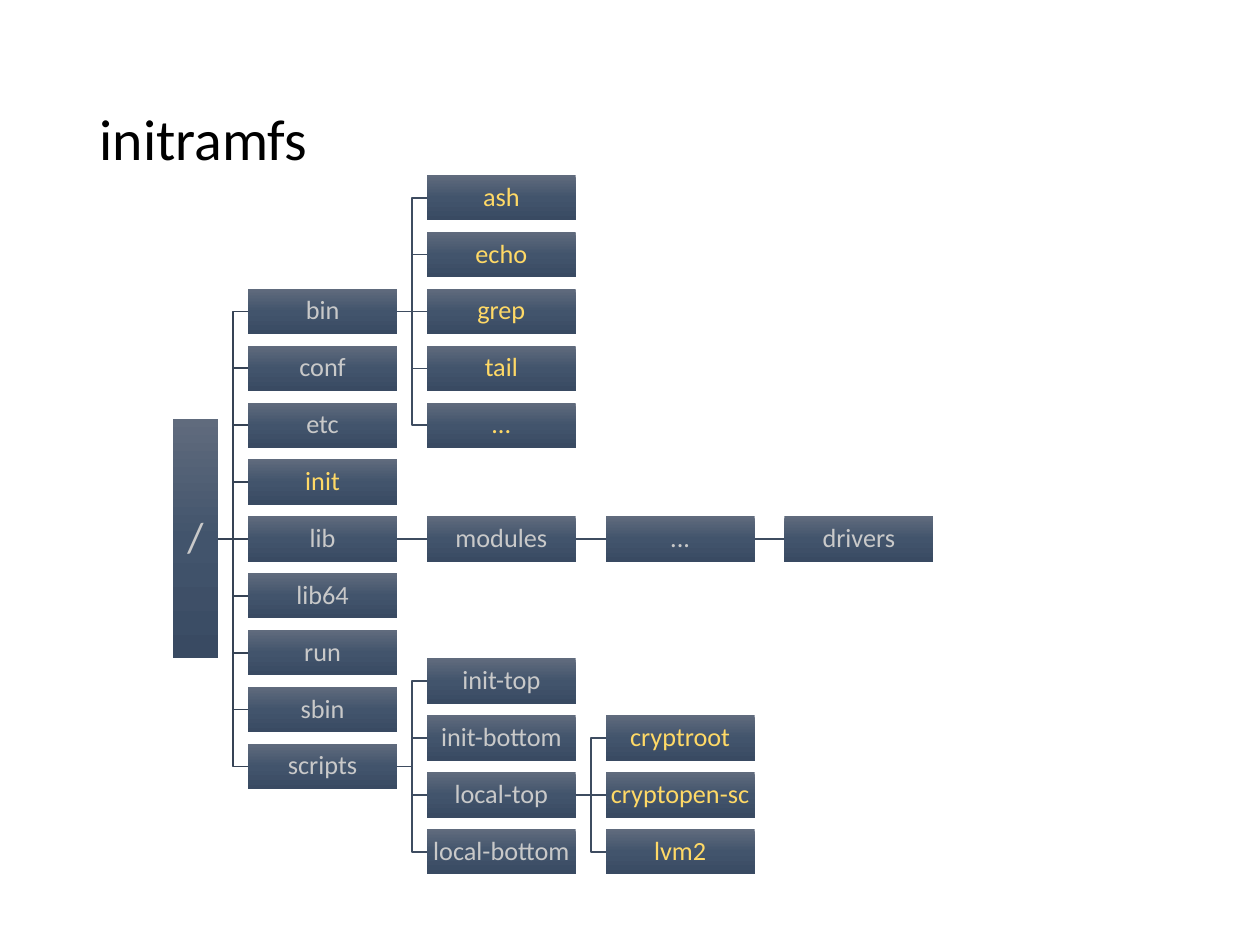
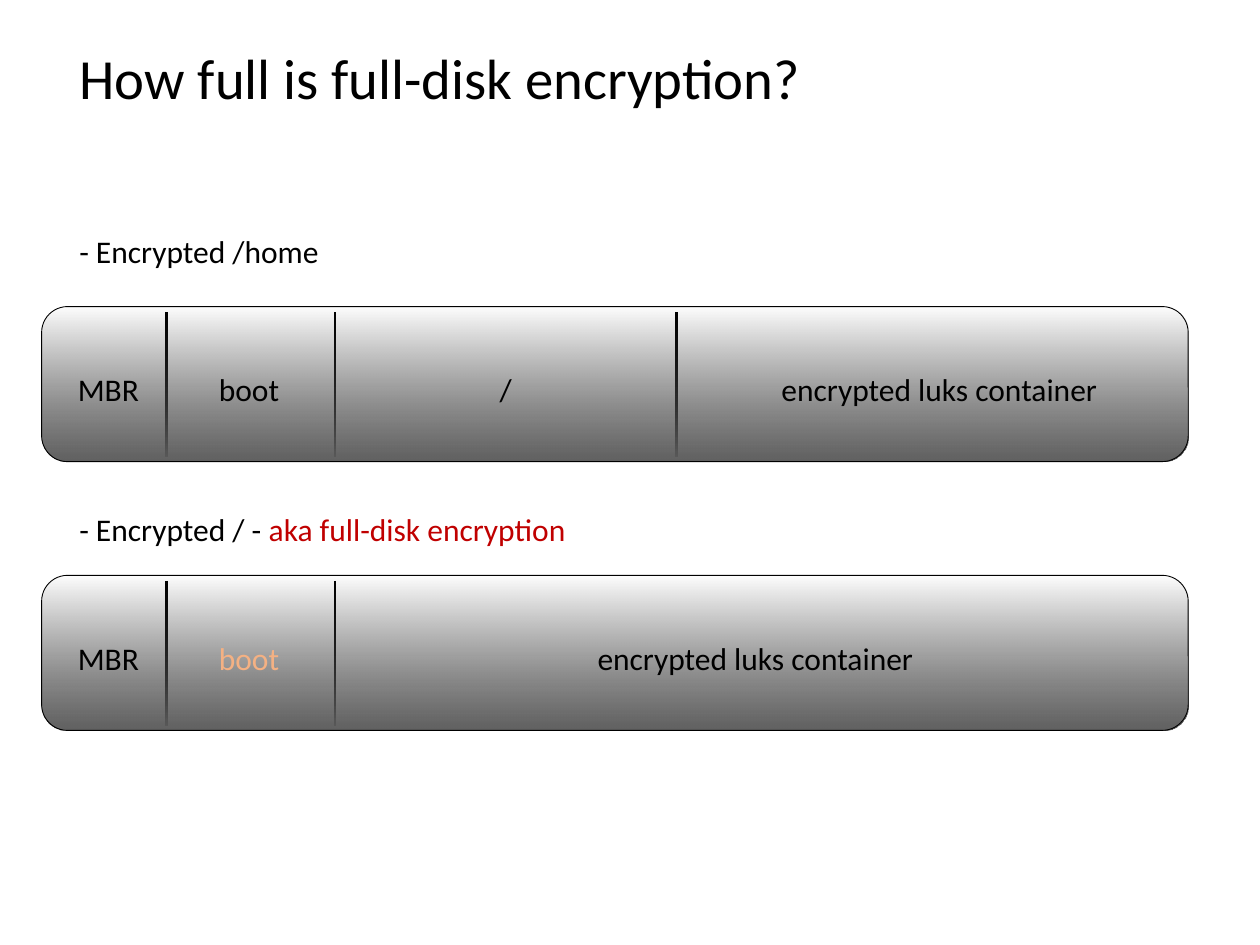
"""Builds two slides: the initramfs file tree and two disk encryption layouts."""
from dataclasses import dataclass

from lxml.etree import SubElement
from pptx import Presentation
from pptx.dml.color import RGBColor
from pptx.enum.shapes import MSO_CONNECTOR, MSO_SHAPE
from pptx.enum.text import MSO_ANCHOR, MSO_AUTO_SIZE, PP_ALIGN
from pptx.oxml.ns import qn
from pptx.shapes.autoshape import Shape
from pptx.shapes.connector import Connector
from pptx.slide import Slide
from pptx.text.text import _Paragraph as Paragraph
from pptx.util import Pt

FONT = "Calibri"
BLACK = RGBColor(0x00, 0x00, 0x00)
RED = RGBColor(0xC0, 0x00, 0x00)
ORANGE = RGBColor(0xF4, 0xB1, 0x83)
SILVER = RGBColor(0xC9, 0xC9, 0xC9)
YELLOW = RGBColor(0xFF, 0xD9, 0x66)
ROOT_LINE = RGBColor(0x36, 0x43, 0x55)
BRANCH_LINE = RGBColor(0x3E, 0x4C, 0x60)


@dataclass(frozen=True)
class GradientStop:
    """A colour at a percentage of a gradient, with its opacity in percent."""
    position: int
    color: RGBColor
    opacity: int = 100


@dataclass(frozen=True)
class Node:
    """A file or directory of the tree."""
    name: str
    color: RGBColor = SILVER
    children: tuple["Node", ...] = ()


@dataclass(frozen=True)
class Partition:
    """A label on the disk bar."""
    name: str
    left: float
    width: float
    color: RGBColor = BLACK
    align: PP_ALIGN = PP_ALIGN.CENTER


@dataclass(frozen=True)
class Disk:
    """A disk bar with its dividing lines and labels."""
    top: float
    dividers: tuple[float, ...]
    partitions: tuple[Partition, ...]


NODE_GRADIENT = (
    GradientStop(0, RGBColor(0x60, 0x6B, 0x7D)),
    GradientStop(50, RGBColor(0x42, 0x54, 0x6C)),
    GradientStop(100, RGBColor(0x39, 0x4A, 0x62)),
)
DISK_GRADIENT = (
    GradientStop(0, RGBColor(0x2C, 0x2C, 0x2C), 0),
    GradientStop(100, RGBColor(0x5E, 0x5E, 0x5E)),
)

NODE_WIDTH, NODE_HEIGHT = 85.1, 25.9
FIRST_COLUMN, COLUMN_PITCH = 141.8, 102.15
FIRST_ROW_MIDDLE, ROW_PITCH = 113, 32.5
ROOT_LEFT, ROOT_HEIGHT, ROOT_ROW = 98.7, 136.6, 6

PROGRAMS = tuple(Node(name, YELLOW) for name in ("ash", "echo", "grep", "tail", "..."))
LOCAL_TOP = tuple(Node(name, YELLOW) for name in ("cryptroot", "cryptopen-sc", "lvm2"))
SCRIPTS = (
    Node("init-top"),
    Node("init-bottom"),
    Node("local-top", children=LOCAL_TOP),
    Node("local-bottom"),
)
MODULES = Node("modules", children=(Node("...", children=(Node("drivers"),)),))
ROOT = Node("/", children=(
    Node("bin", children=PROGRAMS),
    Node("conf"),
    Node("etc"),
    Node("init", YELLOW),
    Node("lib", children=(MODULES,)),
    Node("lib64"),
    Node("run"),
    Node("sbin"),
    Node("scripts", children=SCRIPTS),
))

DISK_LEFT, DISK_WIDTH, DISK_HEIGHT = 23.8, 655.2, 88.6
DIVIDER_INSET, DIVIDER_HEIGHT = 3.2, 82.8
LABEL_OFFSET, LABEL_HEIGHT = 32.8, 28.8
MBR = Partition("MBR", 37.4, 131.8, align=PP_ALIGN.LEFT)
BOOT_PLACE = (95.8, 92.9)
CONTAINER = "encrypted luks container"
DISKS = (
    Disk(175.2, (95, 191.5, 386.6), (
        MBR,
        Partition("boot", *BOOT_PLACE),
        Partition("/", 242.6, 92.9),
        Partition(CONTAINER, 414.7, 244.1),
    )),
    Disk(328.8, (95, 191.5), (
        MBR,
        Partition("boot", *BOOT_PLACE, ORANGE),
        Partition(CONTAINER, 204.5, 454.3),
    )),
)


def style_paragraph(para: Paragraph, size: float, color: RGBColor,
                    align: PP_ALIGN = PP_ALIGN.LEFT) -> None:
    """Set the font and alignment of a paragraph."""
    para.alignment = align
    para.font.name = FONT
    para.font.size = Pt(size)
    para.font.color.rgb = color


def add_page(deck: Presentation, title: str, size: float, left: float,
             top: float, width: float, height: float) -> Slide:
    """Add a title-only slide and place its title."""
    page = deck.slides.add_slide(deck.slide_layouts[5])
    box = page.shapes.title
    box.left, box.top, box.width, box.height = Pt(left), Pt(top), Pt(width), Pt(height)
    frame = box.text_frame
    frame.text = title
    frame.auto_size = MSO_AUTO_SIZE.NONE
    frame.vertical_anchor = MSO_ANCHOR.MIDDLE
    para = frame.paragraphs[0]
    para.line_spacing = 0.9
    style_paragraph(para, size, BLACK)
    return page


def fill_gradient(shape: Shape, stops: tuple[GradientStop, ...]) -> None:
    """Fill a shape with a gradient from top to bottom."""
    shape.fill.gradient()
    shape.fill.gradient_angle = 270
    stop_list = shape._element.spPr.find(qn("a:gradFill")).find(qn("a:gsLst"))
    stop_list.clear()
    for stop in stops:
        entry = SubElement(stop_list, qn("a:gs"), pos=str(stop.position * 1000))
        color = SubElement(entry, qn("a:srgbClr"), val=str(stop.color))
        if stop.opacity < 100:
            SubElement(color, qn("a:alpha"), val=str(stop.opacity * 1000))


def style_connector(connector: Connector, color: RGBColor, width: float) -> None:
    """Set the line of a connector and remove its shadow."""
    connector.line.color.rgb = color
    connector.line.width = Pt(width)
    SubElement(connector._element.spPr, qn("a:effectLst"))


def add_label(page: Slide, text: str, left: float, top: float, width: float,
              color: RGBColor = BLACK, align: PP_ALIGN = PP_ALIGN.LEFT) -> Paragraph:
    """Add a one-line text box and return its paragraph."""
    box = page.shapes.add_textbox(Pt(left), Pt(top), Pt(width), Pt(LABEL_HEIGHT))
    box.text_frame.word_wrap = True
    para = box.text_frame.paragraphs[0]
    para.add_run().text = text
    style_paragraph(para, 18, color, align)
    return para


def add_node(page: Slide, node: Node, left: float, row: float, width: float,
             height: float, size: float) -> Shape:
    """Draw one box of the tree, centred on its row."""
    top = FIRST_ROW_MIDDLE + row * ROW_PITCH - height / 2
    box = page.shapes.add_shape(MSO_SHAPE.RECTANGLE, Pt(left), Pt(top), Pt(width), Pt(height))
    box.shadow.inherit = False
    box.line.fill.background()
    fill_gradient(box, NODE_GRADIENT)
    frame = box.text_frame
    frame.margin_left = frame.margin_right = frame.margin_top = frame.margin_bottom = Pt(0.7)
    frame.word_wrap = False
    frame.vertical_anchor = MSO_ANCHOR.MIDDLE
    frame.text = node.name
    para = frame.paragraphs[0]
    para.line_spacing = 0.9
    style_paragraph(para, size, node.color, PP_ALIGN.CENTER)
    return box


def add_children(page: Slide, parent: Node, parent_box: Shape, parent_row: float,
                 column: int = 0) -> None:
    """Draw the children of a node, spread evenly around its row, and join them to it."""
    first_row = parent_row - (len(parent.children) - 1) / 2
    left = FIRST_COLUMN + column * COLUMN_PITCH
    for index, child in enumerate(parent.children):
        row = first_row + index
        box = add_node(page, child, left, row, NODE_WIDTH, NODE_HEIGHT, 15)
        kind = MSO_CONNECTOR.STRAIGHT if row == parent_row else MSO_CONNECTOR.ELBOW
        connector = page.shapes.add_connector(kind, 0, 0, 0, 0)
        connector.begin_connect(parent_box, 3)
        connector.end_connect(box, 1)
        style_connector(connector, BRANCH_LINE if column else ROOT_LINE, 1)
        add_children(page, child, box, row, column + 1)


def add_disk(page: Slide, disk: Disk) -> None:
    """Draw a disk bar over its dividers, then its labels."""
    line_top = disk.top + DIVIDER_INSET
    for left in disk.dividers:
        divider = page.shapes.add_connector(
            MSO_CONNECTOR.STRAIGHT, Pt(left), Pt(line_top), Pt(left), Pt(line_top + DIVIDER_HEIGHT))
        style_connector(divider, BLACK, 1.5)
    bar = page.shapes.add_shape(MSO_SHAPE.ROUNDED_RECTANGLE, Pt(DISK_LEFT), Pt(disk.top),
                                Pt(DISK_WIDTH), Pt(DISK_HEIGHT))
    bar.shadow.inherit = False
    bar.line.color.rgb = BLACK
    bar.line.width = Pt(0.5)
    fill_gradient(bar, DISK_GRADIENT)
    for part in disk.partitions:
        add_label(page, part.name, part.left, disk.top + LABEL_OFFSET, part.width,
                  part.color, part.align)


def build_tree_page(deck: Presentation) -> None:
    """Build the slide with the initramfs tree."""
    page = add_page(deck, "initramfs", 33, 49.7, 28.8, 620.6, 104.4)
    root_box = add_node(page, ROOT, ROOT_LEFT, ROOT_ROW, NODE_HEIGHT, ROOT_HEIGHT, 24)
    add_children(page, ROOT, root_box, ROOT_ROW)


def build_disk_page(deck: Presentation) -> None:
    """Build the slide that compares two encrypted disks."""
    page = add_page(deck, "How full is full-disk encryption?", 32.4, 38.2, 18, 555.8, 56.2)
    for disk in DISKS:
        add_disk(page, disk)
    add_label(page, "- Encrypted /home", 38.2, 128.9, 222.5)
    heading = add_label(page, "- Encrypted / - ", 38.2, 288, 620.6)
    span = heading.add_run()
    span.text = "aka full-disk encryption"
    span.font.color.rgb = RED


def main() -> None:
    """Build and save the deck."""
    deck = Presentation()
    deck.slide_width, deck.slide_height = Pt(720), Pt(540)
    build_tree_page(deck)
    build_disk_page(deck)
    deck.save("out.pptx")


if __name__ == "__main__":
    main()
